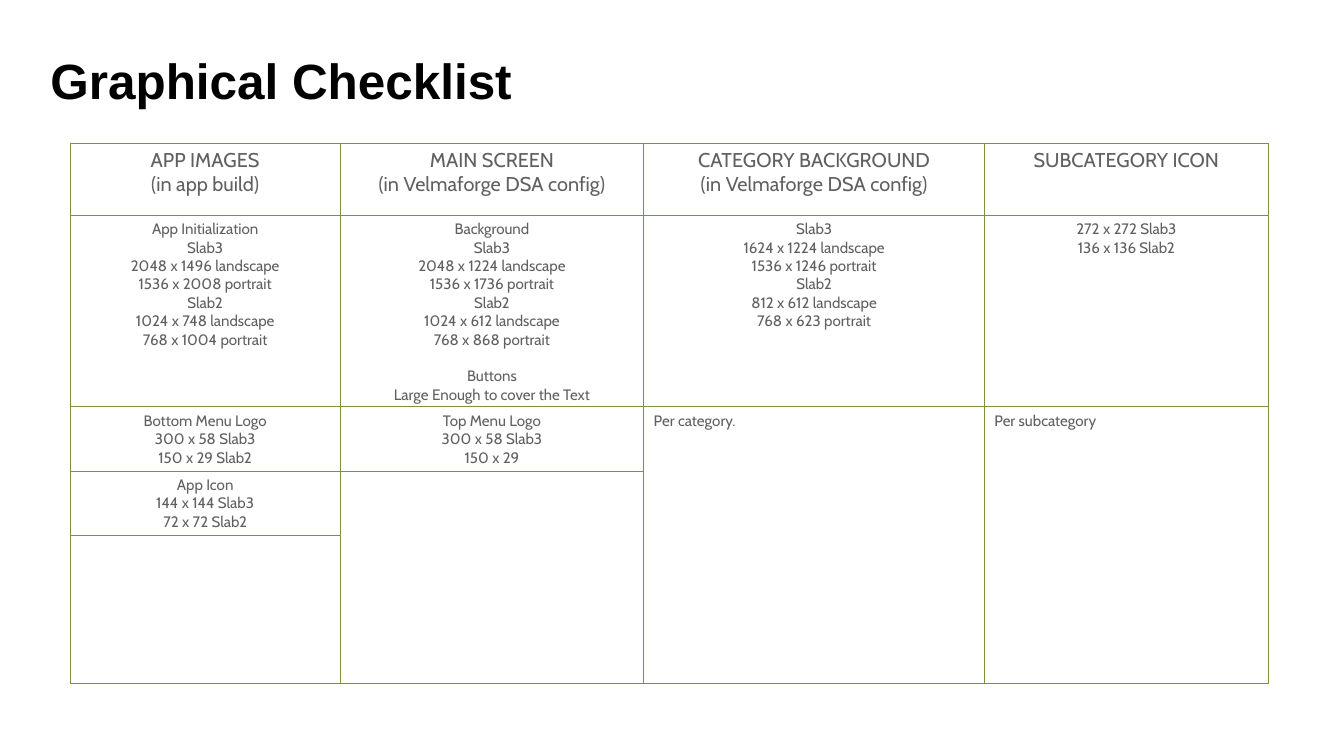
import pptx
import pptx.dml.color
import pptx.enum.text
import pptx.oxml
import pptx.oxml.ns
import pptx.util
from dataclasses import dataclass

Pt = pptx.util.Pt
CENTER = pptx.enum.text.PP_ALIGN.CENTER
LEFT = pptx.enum.text.PP_ALIGN.LEFT
MIDDLE = pptx.enum.text.MSO_ANCHOR.MIDDLE


@dataclass(frozen=True)
class Theme:
    paper: str = "FFFFFF"
    ink: str = "000000"
    grey: str = "606060"
    border: str = "77933C"
    title_font: str = "Arial"
    body_font: str = "Cabin"
    title_size: int = 72
    header_size: int = 29
    body_size: int = 22
    blank_line: float = 26.8
    border_width: int = 1


# Table content, one list of lines per cell
HEADERS = [
    ["APP IMAGES", "(in app build)"],
    ["MAIN SCREEN", "(in Velmaforge DSA config)"],
    ["CATEGORY BACKGROUND", "(in Velmaforge DSA config)"],
    ["SUBCATEGORY ICON"],
]
SIZES = [
    ["App Initialization", "Slab3", "2048 x 1496 landscape", "1536 x 2008 portrait",
     "Slab2", "1024 x 748 landscape", "768 x 1004 portrait"],
    ["Background", "Slab3", "2048 x 1224 landscape", "1536 x 1736 portrait",
     "Slab2", "1024 x 612 landscape", "768 x 868 portrait",
     "Buttons\nLarge Enough to cover the Text"],
    ["Slab3", "1624 x 1224 landscape", "1536 x 1246 portrait",
     "Slab2", "812 x 612 landscape", "768 x 623 portrait"],
    ["272 x 272 Slab3", "136 x 136 Slab2"],
]
LOGOS = [
    ["Bottom Menu Logo", "300 x 58 Slab3", "150 x 29 Slab2"],
    ["Top Menu Logo", "300 x 58 Slab3", "150 x 29"],
    ["Per category."],
    ["Per subcategory"],
]
ICONS = [["App Icon", "144 x 144 Slab3", "72 x 72 Slab2"], [], [], []]
ROWS = [HEADERS, SIZES, LOGOS, ICONS, [[], [], [], []]]
COLUMN_WIDTHS = [393.1, 442.1, 496.1, 413.3]
ROW_HEIGHTS = [105.1, 277.2, 92.2, 92.2, 215.3]
MERGES = [((2, 2), (4, 2)), ((2, 3), (4, 3)), ((3, 1), (4, 1))]
LEFT_ALIGNED = {"Per category.", "Per subcategory"}
GAP_BEFORE = {"Buttons\nLarge Enough to cover the Text"}


class ChecklistSlide:
    def __init__(self, deck, theme):
        self.theme = theme
        self.slide = deck.slides.add_slide(deck.slide_layouts[6])
        self.fill(self.slide.background, theme.paper)

    def set_values(self, target, values):
        for name, value in values.items():
            setattr(target, name, value)

    def fill(self, target, color):
        target.fill.solid()
        target.fill.fore_color.rgb = pptx.dml.color.RGBColor.from_string(color)

    def set_text(self, para, text, color, values):
        para.text = text
        for span in para.runs:
            self.set_values(span.font, values)
            span.font.color.rgb = pptx.dml.color.RGBColor.from_string(color)

    def title(self, text, left, top, width, height):
        box = self.slide.shapes.add_textbox(Pt(left), Pt(top), Pt(width), Pt(height))
        self.set_values(box.text_frame, {
            "word_wrap": True, "vertical_anchor": MIDDLE,
            "margin_left": Pt(6.5), "margin_right": Pt(10.8),
            "margin_top": Pt(4.3), "margin_bottom": Pt(4.3)})
        self.set_text(box.text_frame.paragraphs[0], text, self.theme.ink, {
            "name": self.theme.title_font, "size": Pt(self.theme.title_size), "bold": True})

    def table(self, rows, left, top, widths, heights, merges):
        frame = self.slide.shapes.add_table(
            len(heights), len(widths), Pt(left), Pt(top), Pt(sum(widths)), Pt(sum(heights)))
        table = frame.table
        self.set_values(table, {"first_row": False, "horz_banding": False})
        for column, width in zip(table.columns, widths):
            column.width = Pt(width)
        for row, height in zip(table.rows, heights):
            row.height = Pt(height)
        for row_index, row in enumerate(rows):
            size = self.theme.body_size if row_index else self.theme.header_size
            for column_index, lines in enumerate(row):
                self.cell(table.cell(row_index, column_index), lines, size)
        for first, last in merges:
            table.cell(*first).merge(table.cell(*last))

    def cell(self, cell, lines, size):
        self.set_values(cell, {
            "margin_left": Pt(14.4), "margin_right": Pt(14.4),
            "margin_top": Pt(7.2), "margin_bottom": Pt(7.2)})
        self.fill(cell, self.theme.paper)
        self.borders(cell)
        for index, line in enumerate(lines):
            frame = cell.text_frame
            para = frame.add_paragraph() if index else frame.paragraphs[0]
            para.alignment = LEFT if line in LEFT_ALIGNED else CENTER
            if line in GAP_BEFORE:
                para.space_before = Pt(self.theme.blank_line)
            self.set_text(para, line, self.theme.grey, {
                "name": self.theme.body_font, "size": Pt(size)})

    def borders(self, cell):
        properties = cell._tc.get_or_add_tcPr()
        for index, side in enumerate(("lnL", "lnR", "lnT", "lnB")):
            properties.insert(index, pptx.oxml.parse_xml(
                f'<a:{side} {pptx.oxml.ns.nsdecls("a")} w="{Pt(self.theme.border_width)}">'
                f'<a:solidFill><a:srgbClr val="{self.theme.border}"/></a:solidFill>'
                f'</a:{side}>'))


def main():
    deck = pptx.Presentation()
    deck.slide_width, deck.slide_height = Pt(1956.96), Pt(1100.16)
    page = ChecklistSlide(deck, Theme())

    # Heading
    page.title("Graphical Checklist", 67, 41.8, 1761, 147)

    # Checklist table
    page.table(ROWS, 102.2, 208.1, COLUMN_WIDTHS, ROW_HEIGHTS, MERGES)

    deck.save("out.pptx")


if __name__ == "__main__":
    main()
